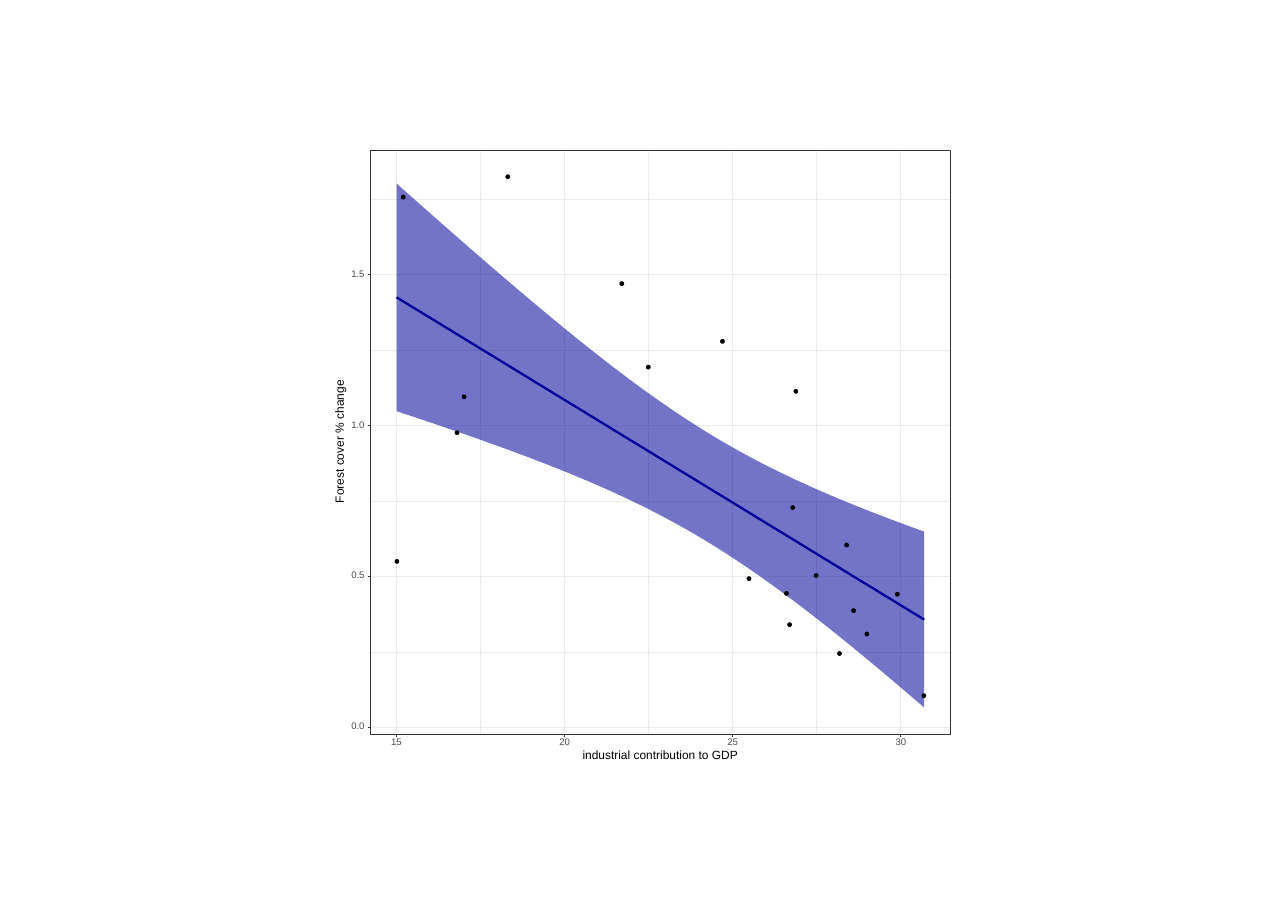
from dataclasses import dataclass
from math import hypot

from lxml.etree import SubElement
from pptx import Presentation
from pptx.dml.color import RGBColor
from pptx.enum.shapes import MSO_CONNECTOR, MSO_SHAPE
from pptx.enum.text import MSO_ANCHOR, PP_ALIGN
from pptx.oxml.ns import qn
from pptx.slide import Slide
from pptx.util import Inches, Pt

WHITE = RGBColor(0xFF, 0xFF, 0xFF)
BLACK = RGBColor(0x00, 0x00, 0x00)
NAVY = RGBColor(0x00, 0x00, 0x99)
GRID_GREY = RGBColor(0xEB, 0xEB, 0xEB)
AXIS_GREY = RGBColor(0x33, 0x33, 0x33)
LABEL_GREY = RGBColor(0x4D, 0x4D, 0x4D)


@dataclass(frozen=True)
class Box:
    left: float
    top: float
    width: float
    height: float

    @property
    def right(self) -> float:
        return self.left + self.width

    @property
    def bottom(self) -> float:
        return self.top + self.height

    def lengths(self) -> tuple:
        return tuple(Inches(v) for v in (self.left, self.top, self.width, self.height))


@dataclass(frozen=True)
class Label:
    text: str
    box: Box
    size: float
    color: RGBColor
    rotation: float = 0


FRAME = Box(4.25, 1.85, 8, 8)
PANEL = Box(4.75, 1.93, 7.43, 7.48)
GDP_15_X = 5.08
GDP_UNIT = 6.46 / 15
FOREST_0_Y = 9.32
FOREST_UNIT = 5.8 / 1.5
TICK_LENGTH = 0.04

FIT_START = (5.08, 3.81)
FIT_END = (11.84, 7.94)
BAND_STEPS = 80
BAND_WAIST_X = 9.08

DOT_SIZE = 0.05
DOT_CORNERS = [
    (5.14, 2.5), (5.06, 7.17), (5.83, 5.52), (5.92, 5.06), (6.48, 2.24),
    (7.94, 3.61), (8.28, 4.68), (9.23, 4.35), (9.57, 7.39), (10.17, 4.99),
    (10.13, 6.48), (10.91, 7.8), (10.73, 8.35), (10.43, 7.35), (10.09, 7.98),
    (10.05, 7.58), (10.82, 6.96), (11.08, 8.1), (11.47, 7.59), (11.81, 8.89),
]

AXIS_TITLES = [
    Label("industrial contribution to GDP", Box(7.26, 9.63, 2.4, 0.11), 11, BLACK),
    Label("Forest cover % change", Box(3.36, 5.59, 2, 0.14), 11, BLACK, 270),
]


def gdp_to_x(gdp: float) -> float:
    return GDP_15_X + (gdp - 15) * GDP_UNIT


def forest_to_y(forest: float) -> float:
    return FOREST_0_Y - forest * FOREST_UNIT


def add_preset(slide: Slide, kind: MSO_SHAPE, box: Box, fill: RGBColor | None,
               line: RGBColor, width: float) -> None:
    shape = slide.shapes.add_shape(kind, *box.lengths())
    shape.shadow.inherit = False
    if fill is None:
        shape.fill.background()
    else:
        shape.fill.solid()
        shape.fill.fore_color.rgb = fill
    shape.line.color.rgb = line
    shape.line.width = Pt(width)


def add_line(slide: Slide, start: tuple[float, float], end: tuple[float, float],
             color: RGBColor, width: float) -> None:
    points = [Inches(value) for value in (*start, *end)]
    connector = slide.shapes.add_connector(MSO_CONNECTOR.STRAIGHT, *points)
    connector.line.color.rgb = color
    connector.line.width = Pt(width)
    SubElement(connector.element.spPr, qn("a:effectLst"))


def add_label(slide: Slide, label: Label) -> None:
    shape = slide.shapes.add_textbox(*label.box.lengths())
    shape.rotation = label.rotation
    frame = shape.text_frame
    frame_format = dict(word_wrap=False, vertical_anchor=MSO_ANCHOR.MIDDLE,
                        margin_left=0, margin_right=0, margin_top=0, margin_bottom=0)
    for name, value in frame_format.items():
        setattr(frame, name, value)
    paragraph = frame.paragraphs[0]
    paragraph.alignment = PP_ALIGN.CENTER
    paragraph.line_spacing = Pt(label.size)
    run = paragraph.add_run()
    run.text = label.text
    for name, value in dict(name="Arial", size=Pt(label.size)).items():
        setattr(run.font, name, value)
    run.font.color.rgb = label.color


def add_grid(slide: Slide) -> None:
    """Draw thin lines at half steps, then heavier ones at full steps."""
    for first, width in ((1, 0.53), (0, 1.07)):
        for step in range(first, 8, 2):
            y = forest_to_y(step * 0.25)
            add_line(slide, (PANEL.left, y), (PANEL.right, y), GRID_GREY, width)
        for step in range(first, 7, 2):
            x = gdp_to_x(15 + step * 2.5)
            add_line(slide, (x, PANEL.bottom), (x, PANEL.top), GRID_GREY, width)


def add_confidence_band(slide: Slide) -> None:
    """Draw the band around the fit line, narrowest at its waist."""
    (start_x, start_y), (end_x, end_y) = FIT_START, FIT_END
    upper, lower = [], []
    for step in range(BAND_STEPS + 1):
        share = step / BAND_STEPS
        x = start_x + share * (end_x - start_x)
        y = start_y + share * (end_y - start_y)
        half_height = hypot(0.7, 0.32 * (x - BAND_WAIST_X))
        upper.append((Inches(x), Inches(y - half_height)))
        lower.append((Inches(x), Inches(y + half_height)))
    outline = upper + lower[::-1]
    builder = slide.shapes.build_freeform(*outline[0])
    builder.add_line_segments(outline[1:], close=True)
    shape = builder.convert_to_shape()
    shape.shadow.inherit = False
    shape.fill.solid()
    shape.fill.fore_color.rgb = NAVY
    shape.line.fill.background()
    color = shape.element.spPr.find(qn("a:solidFill")).find(qn("a:srgbClr"))
    SubElement(color, qn("a:alpha"), val="55000")


def add_dots(slide: Slide) -> None:
    for left, top in DOT_CORNERS:
        box = Box(left, top, DOT_SIZE, DOT_SIZE)
        add_preset(slide, MSO_SHAPE.OVAL, box, BLACK, BLACK, 0.71)


def add_axes(slide: Slide) -> None:
    for forest in (0, 0.5, 1, 1.5):
        y = forest_to_y(forest)
        add_line(slide, (PANEL.left - TICK_LENGTH, y), (PANEL.left, y), AXIS_GREY, 1.07)
        box = Box(4.5, y - 0.05, 0.17, 0.09)
        add_label(slide, Label(f"{forest:.1f}", box, 8.8, LABEL_GREY))
    for gdp in range(15, 31, 5):
        x = gdp_to_x(gdp)
        add_line(slide, (x, PANEL.bottom + TICK_LENGTH), (x, PANEL.bottom), AXIS_GREY, 1.07)
        box = Box(x - 0.07, 9.47, 0.14, 0.09)
        add_label(slide, Label(str(gdp), box, 8.8, LABEL_GREY))
    for title in AXIS_TITLES:
        add_label(slide, title)


def main() -> None:
    presentation = Presentation()
    presentation.slide_width, presentation.slide_height = Inches(16.5), Inches(11.7)
    slide = presentation.slides.add_slide(presentation.slide_layouts[6])
    add_preset(slide, MSO_SHAPE.RECTANGLE, FRAME, WHITE, WHITE, 1.07)
    add_grid(slide)
    add_line(slide, FIT_START, FIT_END, NAVY, 2.13)
    add_confidence_band(slide)
    add_dots(slide)
    add_preset(slide, MSO_SHAPE.RECTANGLE, PANEL, None, AXIS_GREY, 1.07)
    add_axes(slide)
    presentation.save("out.pptx")


if __name__ == "__main__":
    main()
